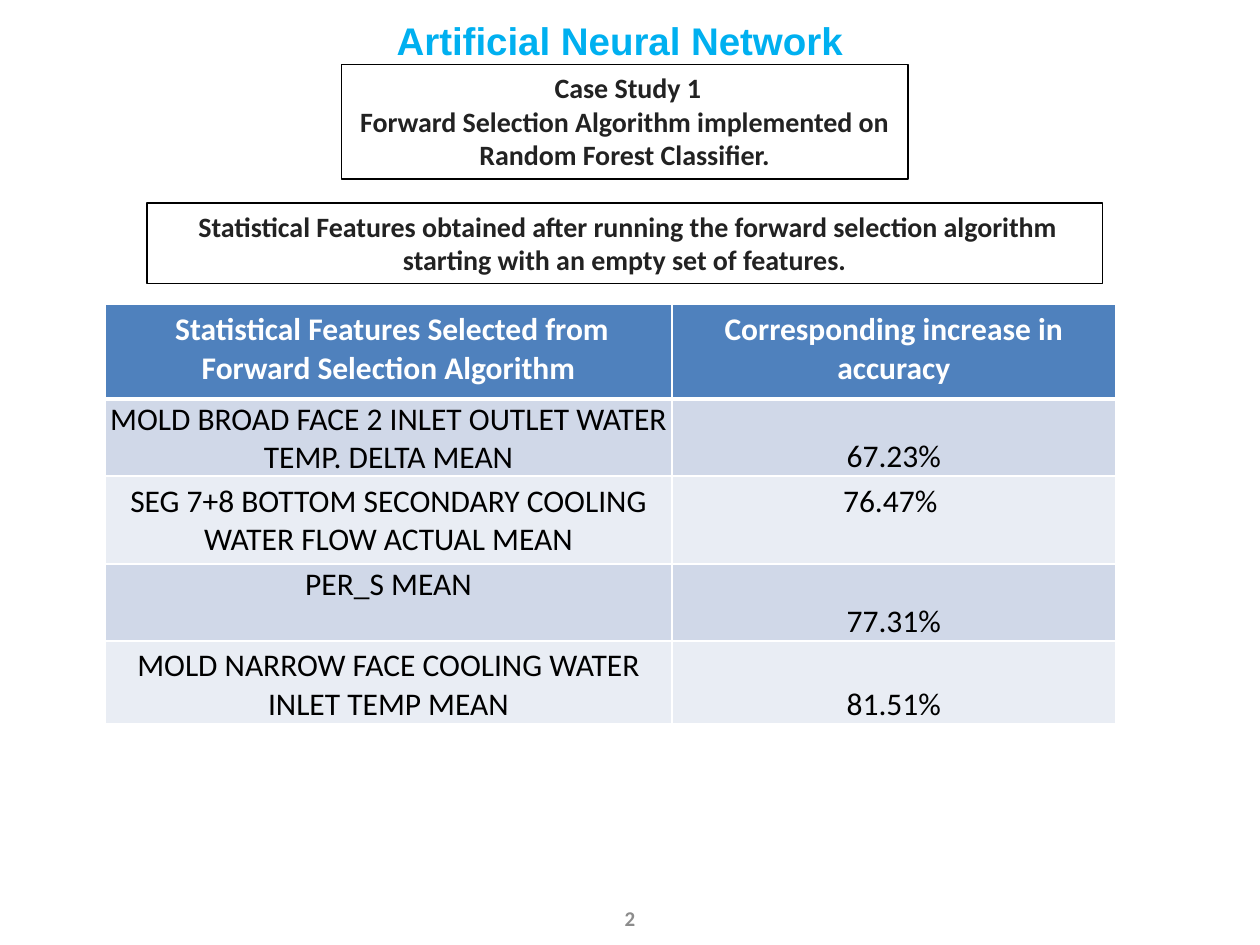
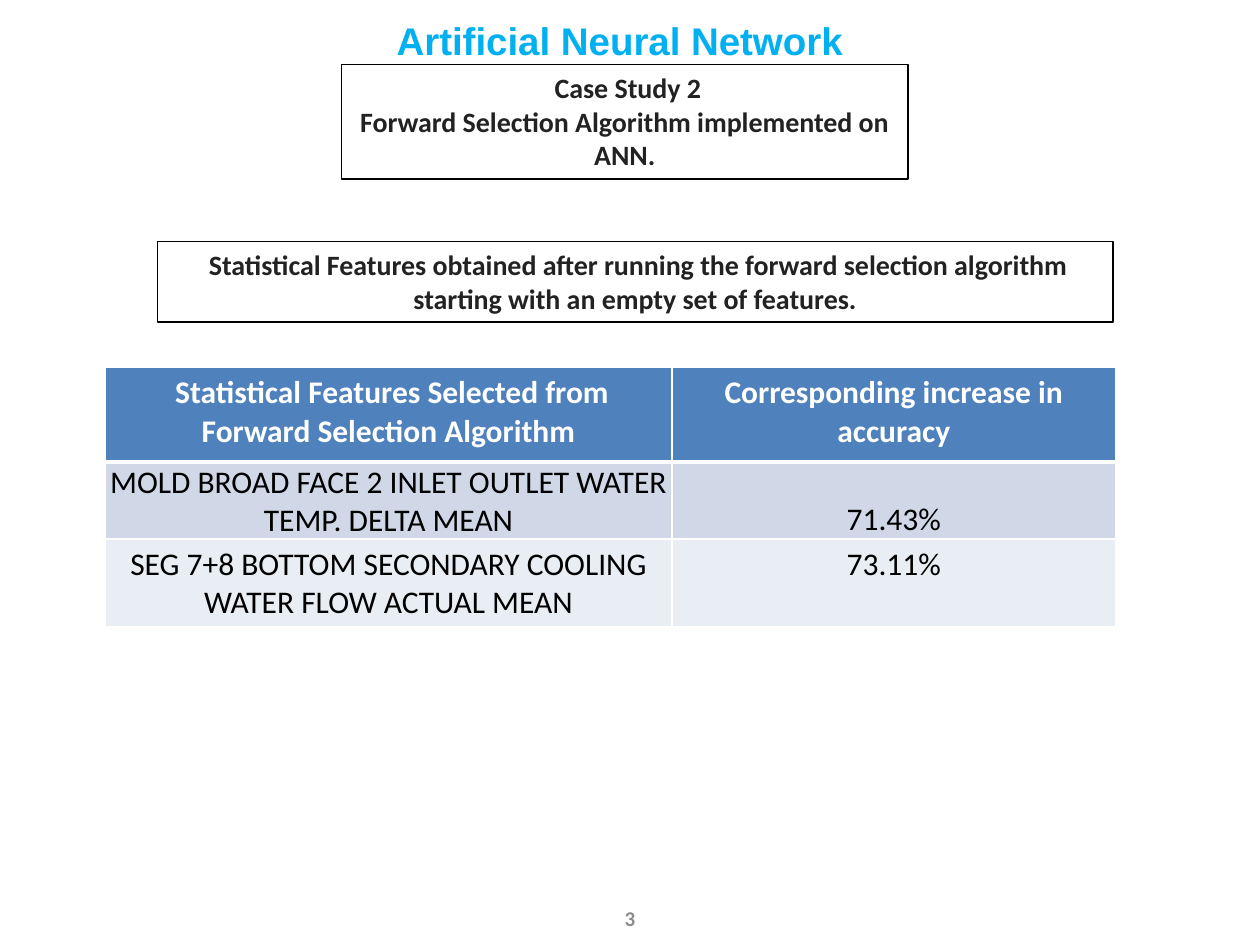
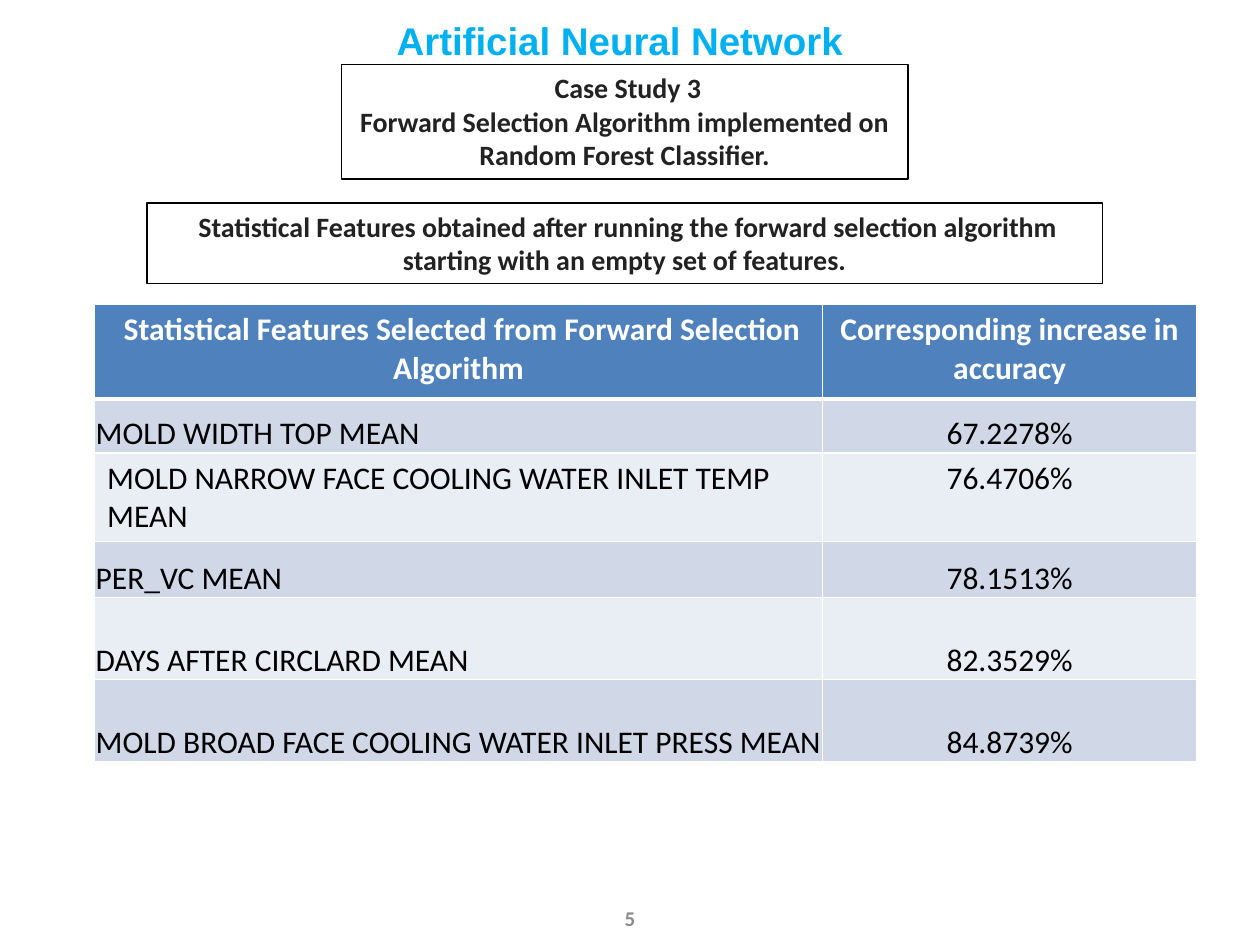
from dataclasses import dataclass

from lxml.etree import SubElement
from pptx import Presentation
from pptx.dml.color import RGBColor
from pptx.enum.shapes import MSO_SHAPE
from pptx.enum.text import MSO_ANCHOR, MSO_AUTO_SIZE, PP_ALIGN
from pptx.oxml.ns import qn
from pptx.util import Pt


@dataclass(frozen=True)
class Theme:
    """Colours, fonts and type sizes of the deck."""
    title: str = "00B0F0"
    caption: str = "222222"
    number: str = "8C8C8C"
    black: str = "000000"
    white: str = "FFFFFF"
    header: str = "4F81BD"
    bands: tuple = ("D0D8E8", "E9EDF4")
    title_font: str = "Arial"
    body_font: str = "Calibri"
    title_size: float = 22
    table_size: float = 18
    caption_size: float = 16
    number_size: float = 12
    outline: float = 0.75
    rule: float = 1
    header_rule: float = 3


@dataclass(frozen=True)
class FeatureRow:
    """One selected feature with its accuracy and cell placement."""
    height: float
    feature: str
    accuracy: str
    roomy: bool = False
    feature_anchor: MSO_ANCHOR = MSO_ANCHOR.BOTTOM


TIGHT = {"margin_left": Pt(0.72), "margin_right": Pt(0.72), "margin_top": Pt(0.72), "margin_bottom": 0}
HEADINGS = (" Statistical Features Selected from Forward Selection Algorithm",
            "Corresponding increase in accuracy")
FEATURES_CAPTION = (" Statistical Features obtained after running the forward selection "
                    "algorithm starting with an empty set of features.")
BROAD_FACE = "MOLD BROAD FACE 2 INLET OUTLET WATER TEMP. DELTA MEAN"
NARROW_FACE = "MOLD NARROW FACE COOLING WATER INLET TEMP MEAN"
BOTTOM_FLOW = "SEG 7+8 BOTTOM SECONDARY COOLING WATER FLOW ACTUAL MEAN"
CASES = (
    dict(number=1, page=2, method="Random Forest Classifier.", caption_at=(84, 116),
         table_at=(60, 174), widths=(324, 253.5), feature_align=PP_ALIGN.CENTER, rows=(
             FeatureRow(42.5, BROAD_FACE, "67.23%"),
             FeatureRow(50.5, BOTTOM_FLOW, "76.47% ", roomy=True),
             FeatureRow(44, "PER_S MEAN", "77.31%", feature_anchor=MSO_ANCHOR.TOP),
             FeatureRow(47, NARROW_FACE, "81.51%"))),
    dict(number=2, page=3, method="ANN.", caption_at=(90, 138),
         table_at=(60, 210), widths=(324, 253.5), feature_align=PP_ALIGN.CENTER, rows=(
             FeatureRow(42.5, BROAD_FACE, "71.43%"),
             FeatureRow(50.5, BOTTOM_FLOW, "73.11%", roomy=True))),
    dict(number=3, page=5, method="Random Forest Classifier.", caption_at=(84, 116),
         table_at=(54, 174), widths=(416, 214), feature_align=PP_ALIGN.LEFT, rows=(
             FeatureRow(31, "MOLD WIDTH TOP MEAN", "67.2278%"),
             FeatureRow(50.5, NARROW_FACE, "76.4706%", roomy=True),
             FeatureRow(32, "PER_VC MEAN", "78.1513%"),
             FeatureRow(47, "DAYS AFTER CIRCLARD MEAN", "82.3529%"),
             FeatureRow(47, "MOLD BROAD FACE COOLING WATER INLET PRESS MEAN", "84.8739%"))),
)


def assign(target, values):
    """Set every attribute named in a dict."""
    for name, value in values.items():
        setattr(target, name, value)


class DeckBuilder:
    """Draws the deck's elements on the current slide."""

    def __init__(self, presentation, theme):
        """Keep the presentation and its theme."""
        self.presentation = presentation
        self.theme = theme
        self.slide = None

    def new_slide(self):
        """Start a blank slide."""
        self.slide = self.presentation.slides.add_slide(self.presentation.slide_layouts[6])

    def fill_text(self, frame, lines, size, color, bold=True, font=None, align=PP_ALIGN.CENTER):
        """Fill a text frame with styled paragraphs."""
        frame.text = "\n".join(lines)
        for paragraph in frame.paragraphs:
            paragraph.alignment = align
            for run in paragraph.runs:
                assign(run.font, {"name": font or self.theme.body_font, "size": Pt(size), "bold": bold})
                run.font.color.rgb = RGBColor.from_string(color)

    def title(self, text):
        """Place the slide title."""
        frame = self.slide.shapes.add_textbox(Pt(219.6), Pt(6), Pt(330), Pt(20)).text_frame
        assign(frame, {"word_wrap": True, "auto_size": MSO_AUTO_SIZE.SHAPE_TO_FIT_TEXT})
        self.fill_text(frame, [text], self.theme.title_size, self.theme.title,
                       font=self.theme.title_font, align=PP_ALIGN.LEFT)

    def page_number(self, number):
        """Place the page number at the foot."""
        frame = self.slide.shapes.add_textbox(Pt(335), Pt(510), Pt(50), Pt(28.75)).text_frame
        assign(frame, {"word_wrap": True, "vertical_anchor": MSO_ANCHOR.MIDDLE})
        self.fill_text(frame, [str(number)], self.theme.number_size, self.theme.number)

    def caption(self, lines, left, top, width, height):
        """Draw an outlined caption box."""
        shape = self.slide.shapes.add_shape(MSO_SHAPE.RECTANGLE, Pt(left), Pt(top), Pt(width), Pt(height))
        shape.shadow.inherit = False
        shape.fill.background()
        shape.line.color.rgb = RGBColor.from_string(self.theme.black)
        shape.line.width = Pt(self.theme.outline)
        assign(shape.text_frame, {"word_wrap": True, "vertical_anchor": MSO_ANCHOR.TOP,
                                  "auto_size": MSO_AUTO_SIZE.SHAPE_TO_FIT_TEXT})
        self.fill_text(shape.text_frame, lines, self.theme.caption_size, self.theme.caption)

    def cell(self, cell, text, fill, color, top_rule, bottom_rule, placement, **style):
        """Fill, border and place one table cell."""
        self.fill_text(cell.text_frame, [text], self.theme.table_size, color, **style)
        assign(cell, placement)
        rules = {"lnL": self.theme.rule, "lnR": self.theme.rule, "lnT": top_rule, "lnB": bottom_rule}
        properties = cell._tc.get_or_add_tcPr()
        for side, width in rules.items():
            line = SubElement(properties, qn(f"a:{side}"), w=str(Pt(width)))
            SubElement(SubElement(line, qn("a:solidFill")), qn("a:srgbClr"), val=self.theme.white)
        cell.fill.solid()
        cell.fill.fore_color.rgb = RGBColor.from_string(fill)

    def feature_table(self, rows, left, top, widths, feature_align):
        """Draw the table of selected features and accuracies."""
        theme = self.theme
        heights = [54] + [row.height for row in rows]
        table = self.slide.shapes.add_table(len(heights), len(widths), Pt(left), Pt(top),
                                            Pt(sum(widths)), Pt(sum(heights))).table
        for column, width in zip(table.columns, widths):
            column.width = Pt(width)
        for table_row, height in zip(table.rows, heights):
            table_row.height = Pt(height)
        for column, heading in enumerate(HEADINGS):
            self.cell(table.cell(0, column), heading, theme.header, theme.white,
                      theme.rule, theme.header_rule, {})
        for index, row in enumerate(rows):
            columns = ((row.feature, feature_align, row.feature_anchor),
                       (row.accuracy, PP_ALIGN.CENTER, MSO_ANCHOR.BOTTOM))
            for column, (text, align, anchor) in enumerate(columns):
                placement = {} if row.roomy else {**TIGHT, "vertical_anchor": anchor}
                self.cell(table.cell(index + 1, column), text, theme.bands[index % 2], theme.black,
                          theme.rule if index else theme.header_rule, theme.rule,
                          placement, bold=False, align=align)


def main():
    """Build and save the three case study slides."""
    presentation = Presentation()
    assign(presentation, {"slide_width": Pt(720), "slide_height": Pt(540)})
    deck = DeckBuilder(presentation, Theme())
    for case in CASES:
        deck.new_slide()
        deck.page_number(case["page"])
        deck.title("Artificial Neural Network")
        deck.caption([FEATURES_CAPTION], *case["caption_at"], 546, 46)
        deck.feature_table(case["rows"], *case["table_at"], case["widths"], case["feature_align"])
        deck.caption([f" Case Study {case['number']}",
                      f"Forward Selection Algorithm implemented on {case['method']}"],
                     195, 36.75, 324, 65.5)
    presentation.save("out.pptx")


if __name__ == "__main__":
    main()
